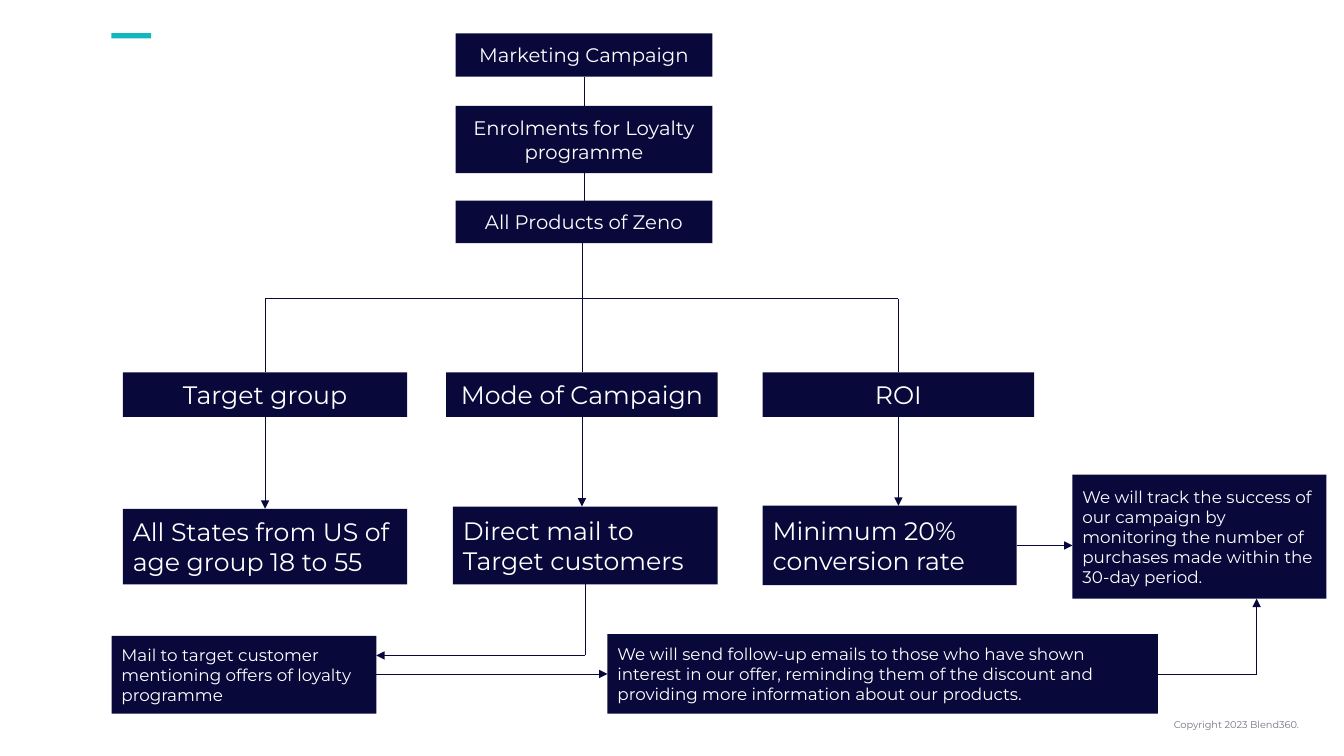
from dataclasses import dataclass
from itertools import pairwise

from lxml import etree
from pptx import Presentation, util as u
from pptx.dml.color import RGBColor
from pptx.enum import shapes, text
from pptx.oxml import ns

SLIDE_WIDTH, SLIDE_HEIGHT = u.Inches(13.34), u.Inches(7.5)
TITLE_ONLY = 5


@dataclass(frozen=True)
class Theme:
    font: str = "Montserrat"
    navy: RGBColor = RGBColor(0x08, 0x08, 0x3B)
    teal: RGBColor = RGBColor(0x11, 0xB7, 0xBF)
    grey: RGBColor = RGBColor(0x75, 0x73, 0x85)
    white: RGBColor = RGBColor(0xFF, 0xFF, 0xFF)
    heading: int = 18
    stack: int = 14
    note: int = 12
    footer: int = 7
    line: float = 0.5


THEME = Theme()
CENTER, LEFT = text.PP_ALIGN.CENTER, text.PP_ALIGN.LEFT


@dataclass(frozen=True)
class Box:
    """A labelled area, in percent of the slide's width and height."""
    label: str
    left: float
    top: float
    width: float
    height: float
    size: int
    align: text.PP_ALIGN = LEFT

    @property
    def right(self) -> float:
        return self.left + self.width

    @property
    def bottom(self) -> float:
        return self.top + self.height

    @property
    def center(self) -> float:
        return self.left + self.width / 2

    @property
    def middle(self) -> float:
        return self.top + self.height / 2


@dataclass(frozen=True)
class Route:
    """A line through points, in percent of the slide."""
    points: tuple[tuple[float, float], ...]
    arrow: bool = False


def stack_box(label: str, top: float, height: float) -> Box:
    return Box(label, 33.9, top, 19.1, height, THEME.stack, CENTER)


def branch_box(label: str, left: float, width: float) -> Box:
    return Box(label, left, 49.25, width, 5.9, THEME.heading, CENTER)


CAMPAIGN = stack_box("Marketing Campaign", 4.4, 5.75)
ENROLMENTS = stack_box("Enrolments for Loyalty programme", 14, 8.9)
PRODUCTS = stack_box("All Products of Zeno", 26.55, 5.6)
TARGET = branch_box("Target group", 9.15, 21.15)
MODE = branch_box("Mode of Campaign", 33.2, 20.2)
ROI = branch_box("ROI", 56.75, 20.2)
STATES = Box("All States from US of age group 18 to 55", 9.15, 67.3, 21.15, 10, THEME.heading)
DIRECT = Box("Direct mail to Target customers", 33.7, 67, 19.7, 10.3, THEME.heading)
RATE = Box("Minimum 20% conversion rate", 56.75, 66.9, 18.9, 10.5, THEME.heading)
MAIL = Box("Mail to target customer mentioning offers of loyalty programme",
           8.3, 84.1, 19.7, 10.3, THEME.note)
FOLLOW_UP = Box("We will send follow-up emails to those who have shown interest in our offer, "
                "reminding them of the discount and providing more information about our "
                "products.", 45.2, 83.9, 40.95, 10.5, THEME.note)
TRACKING = Box("We will track the success of our campaign by monitoring the number of "
               "purchases made within the 30-day period.", 79.8, 62.8, 18.9, 16.4, THEME.note)
BOXES = (ENROLMENTS, PRODUCTS, TARGET, MODE, ROI, STATES, DIRECT, RATE,
         MAIL, FOLLOW_UP, TRACKING)
FOOTER = Box("Copyright 2023 Blend360.", 86.6, 94.4, 11.6, 2.95, THEME.footer)
ACCENT = Box("", 8.3, 4.4, 2.95, 0.67, THEME.footer)

FORK, RETURN, RISER = 39.5, 86.7, 93.5
ROUTES = (
    Route(((CAMPAIGN.center, CAMPAIGN.bottom), (CAMPAIGN.center, ENROLMENTS.top))),
    Route(((CAMPAIGN.center, ENROLMENTS.bottom), (CAMPAIGN.center, PRODUCTS.top))),
    Route(((MODE.center, PRODUCTS.bottom), (MODE.center, MODE.top))),
    Route(((TARGET.center, TARGET.top), (TARGET.center, FORK),
           (ROI.center, FORK), (ROI.center, ROI.top))),
    *(Route(((branch.center, branch.bottom), (branch.center, result.top)), True)
      for branch, result in ((TARGET, STATES), (MODE, DIRECT), (ROI, RATE))),
    Route(((DIRECT.center, DIRECT.bottom), (DIRECT.center, RETURN), (MAIL.right, RETURN)), True),
    Route(((MAIL.right, FOLLOW_UP.middle), (FOLLOW_UP.left, FOLLOW_UP.middle)), True),
    Route(((FOLLOW_UP.right, FOLLOW_UP.middle), (RISER, FOLLOW_UP.middle),
           (RISER, TRACKING.bottom)), True),
    Route(((RATE.right, RATE.middle), (TRACKING.left, RATE.middle)), True),
)


def across(share: float) -> int:
    return round(SLIDE_WIDTH * share / 100)


def down(share: float) -> int:
    return round(SLIDE_HEIGHT * share / 100)


def apply(target, values: dict) -> None:
    for name, value in values.items():
        setattr(target, name, value)


def frame(box: Box) -> dict[str, int]:
    return {"left": across(box.left), "top": down(box.top),
            "width": across(box.width), "height": down(box.height)}


def write(shape, box: Box, color: RGBColor) -> None:
    apply(shape.text_frame, {"text": box.label, "word_wrap": True,
                             "auto_size": text.MSO_AUTO_SIZE.NONE,
                             "vertical_anchor": text.MSO_ANCHOR.MIDDLE})
    paragraph = shape.text_frame.paragraphs[0]
    paragraph.alignment = box.align
    apply(paragraph.font, {"name": THEME.font, "size": u.Pt(box.size)})
    paragraph.font.color.rgb = color


def paint(shape, color: RGBColor) -> None:
    shape.fill.solid()
    shape.fill.fore_color.rgb = color
    shape.line.fill.background()


def add_block(slide, box: Box, color: RGBColor):
    shape = slide.shapes.add_shape(shapes.MSO_SHAPE.RECTANGLE, **frame(box))
    shape.shadow.inherit = False
    paint(shape, color)
    return shape


def add_route(slide, route: Route) -> None:
    for start, end in pairwise(route.points):
        connector = slide.shapes.add_connector(
            shapes.MSO_CONNECTOR.STRAIGHT,
            across(start[0]), down(start[1]), across(end[0]), down(end[1]))
        connector.line.width = u.Pt(THEME.line)
        connector.line.color.rgb = THEME.navy
        if route.arrow and end == route.points[-1]:
            etree.SubElement(connector.line._get_or_add_ln(), ns.qn("a:tailEnd"), type="triangle")
        etree.SubElement(connector._element.spPr, ns.qn("a:effectLst"))


def main() -> None:
    presentation = Presentation()
    apply(presentation, {"slide_width": SLIDE_WIDTH, "slide_height": SLIDE_HEIGHT})
    slide = presentation.slides.add_slide(presentation.slide_layouts[TITLE_ONLY])

    add_block(slide, ACCENT, THEME.teal)
    write(slide.shapes.add_textbox(**frame(FOOTER)), FOOTER, THEME.grey)

    title = slide.shapes.title
    apply(title, frame(CAMPAIGN))
    paint(title, THEME.navy)
    write(title, CAMPAIGN, THEME.white)

    for box in BOXES:
        write(add_block(slide, box, THEME.navy), box, THEME.white)
    for route in ROUTES:
        add_route(slide, route)
    presentation.save("out.pptx")


if __name__ == "__main__":
    main()
